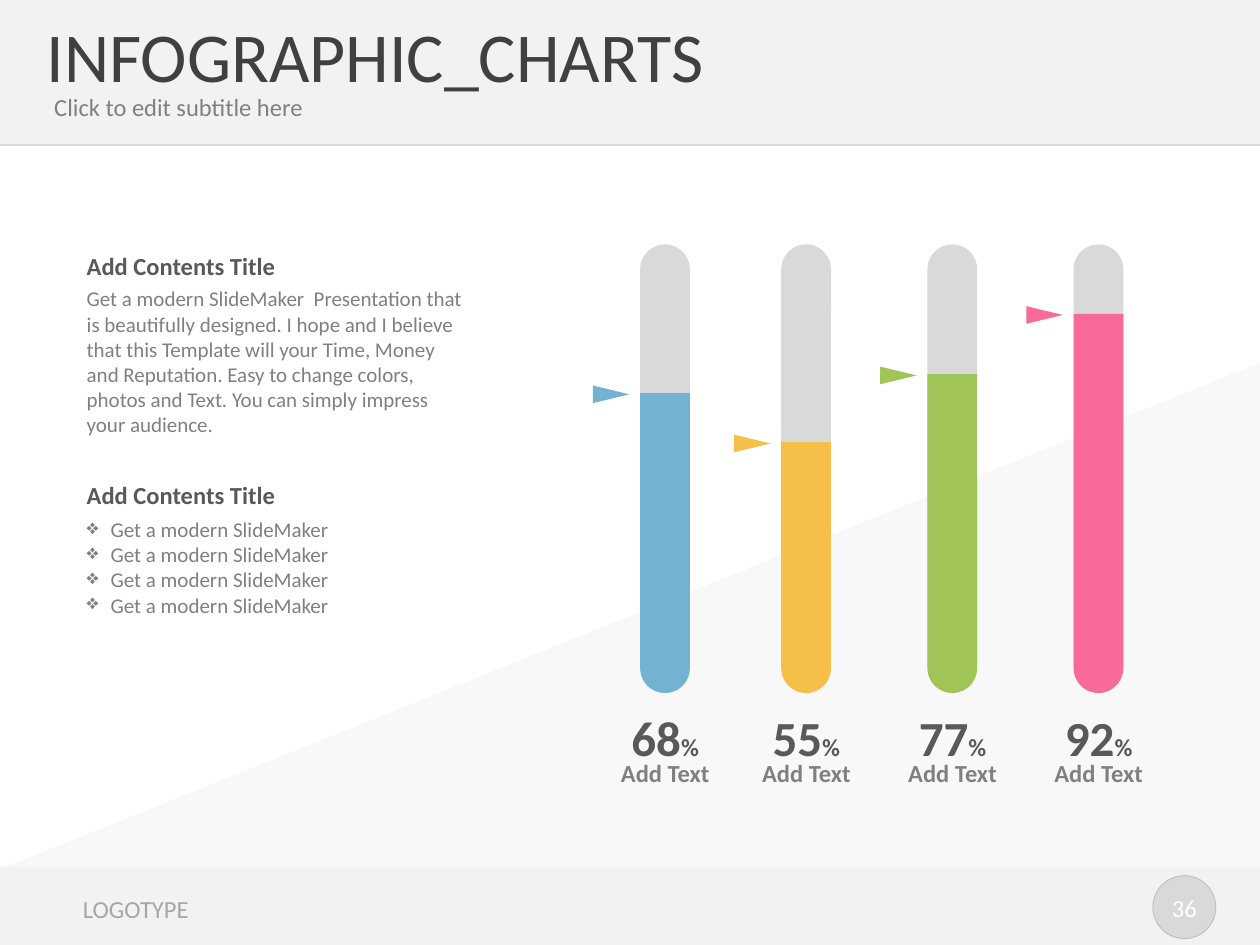
from lxml import etree
from pptx import Presentation
from pptx.dml.color import RGBColor
from pptx.enum.shapes import MSO_CONNECTOR, MSO_SHAPE
from pptx.enum.text import MSO_ANCHOR, PP_ALIGN
from pptx.oxml.ns import qn
from pptx.util import Inches, Pt

RECT, ROUND, OVAL = MSO_SHAPE.RECTANGLE, MSO_SHAPE.ROUNDED_RECTANGLE, MSO_SHAPE.OVAL
RIGHT, TRI, CUP = MSO_SHAPE.RIGHT_TRIANGLE, MSO_SHAPE.ISOSCELES_TRIANGLE, MSO_SHAPE.ROUND_2_SAME_RECTANGLE
LEFT, MID = PP_ALIGN.LEFT, PP_ALIGN.CENTER
TOP, HALF = MSO_ANCHOR.TOP, MSO_ANCHOR.MIDDLE
PALE, SILVER, GREY, DARK, WHITE = "F2F2F2", "D9D9D9", "808080", "595959", "FFFFFF"
BLUE, GOLD, GREEN, PINK = "73B2D1", "F6BF4A", "A0C458", "F86A9A"

deck = Presentation()
deck.slide_width, deck.slide_height = Inches(10), Inches(7.5)
slide = deck.slides.add_slide(deck.slide_layouts[6])
shapes = slide.shapes
COL = deck.slide_width / 100
ROW = deck.slide_height / 75


def draw(kind, x, y, w, h, hue, turn=0, adj=()):
    item = shapes.add_shape(kind, int(x * COL), int(y * ROW), int(w * COL), int(h * ROW))
    item.shadow.inherit = False
    item.fill.solid()
    item.fill.fore_color.rgb = RGBColor.from_string(hue)
    item.line.fill.background()
    item.rotation = turn
    for i, part in enumerate(adj):
        item.adjustments[i] = part
    return item


def write(x, y, w, h, lines, align=LEFT, anchor=TOP, wrap=True, inset=(1, 0.5, 1, 0.5)):
    box = shapes.add_textbox(int(x * COL), int(y * ROW), int(w * COL), int(h * ROW))
    frame = box.text_frame
    frame.word_wrap, frame.vertical_anchor = wrap, anchor
    for side, gap in zip(("left", "top", "right", "bottom"), inset):
        setattr(frame, f"margin_{side}", int(gap * COL))
    for i, line in enumerate(lines):
        para = frame.paragraphs[0] if i == 0 else frame.add_paragraph()
        para.alignment = align
        for words, size, hue, bold in line:
            run = para.add_run()
            run.text = words
            style = {"name": "Calibri", "size": Pt(size), "bold": bold}
            for key, value in style.items():
                setattr(run.font, key, value)
            run.font.color.rgb = RGBColor.from_string(hue)
    return frame


draw(RECT, 0, 68.8, 100, 6.2, PALE)
write(5.6, 70.5, 10.5, 3.4, [[("LOGOTYPE", 14, "A6A6A6", False)]], wrap=False)
badge = draw(OVAL, 91.5, 69.5, 5, 5, SILVER)
badge.line.color.rgb = RGBColor.from_string("BFBFBF")
badge.line.width = Pt(0.5)
write(91.8, 70.4, 4.4, 3.4, [[("36", 14, WHITE, False)]], MID, wrap=False)

draw(RECT, 0, 0, 100, 11.5, PALE)
rule = shapes.add_connector(MSO_CONNECTOR.STRAIGHT, 0, int(11.5 * ROW), int(100 * COL), int(11.5 * ROW))
rule.line.color.rgb = RGBColor.from_string(SILVER)
rule.line.width = Pt(0.75)
etree.SubElement(rule._element.spPr, qn("a:effectLst"))

slope = draw(RIGHT, 0, 28.8, 100, 40.2, PALE)
props = slope._element.spPr
props.find(qn("a:xfrm")).set("flipH", "1")
shade = props.find(qn("a:solidFill")).find(qn("a:srgbClr"))
etree.SubElement(shade, qn("a:alpha"), val="50000")

write(3.7, 1.3, 92.7, 6, [[("INFOGRAPHIC_CHARTS", 40, "404040", False)]], anchor=HALF, inset=(0, 0, 0, 0))
write(3.5, 7.3, 92.9, 2.4, [[("Click to edit subtitle here", 14, GREY, False)]],
      anchor=HALF, inset=(0.8, 0.5, 1, 0.5))

bars = [
    (50.8, 31.2, "68", BLUE),
    (62, 35.1, "55", GOLD),
    (73.6, 29.7, "77", GREEN),
    (85.2, 24.9, "92", PINK),
]
for x, top, share, hue in bars:
    draw(ROUND, x, 19.4, 3.95, 35.4, SILVER, 180, [0.5])
    draw(CUP, x, top, 3.95, 55 - top, hue, 180, [0.5, 0])
    draw(TRI, x - 3, top - 1.35, 1.4, 2.9, hue, 90)
    write(x - 3.35, 55.7, 10.7, 5.7, [[(share, 28, DARK, True), ("%", 14, DARK, True)]], MID)
    write(x - 3.35, 59.7, 10.7, 3.4, [[("Add Text", 14, GREY, True)]], MID)

for y in (19.4, 37.6):
    write(5.9, y, 32.3, 3.4, [[("Add Contents Title", 14, DARK, True)]])
story = (
    "Get a modern SlideMaker  Presentation that is beautifully designed. "
    "I hope and I believe that this Template will your Time, Money and Reputation. "
    "Easy to change colors, photos and Text. You can simply impress your audience."
)
write(5.9, 22.2, 32.3, 13.1, [[(story, 12, GREY, False)]])
points = write(5.9, 40.5, 32.3, 9.1, [[("Get a modern SlideMaker", 12, GREY, False)]] * 4)
for para in points.paragraphs:
    form = para._p.get_or_add_pPr()
    form.set("marL", str(int(1.9 * COL)))
    form.set("indent", str(int(-1.9 * COL)))
    etree.SubElement(form, qn("a:buChar"), char="❖")

deck.save("out.pptx")
